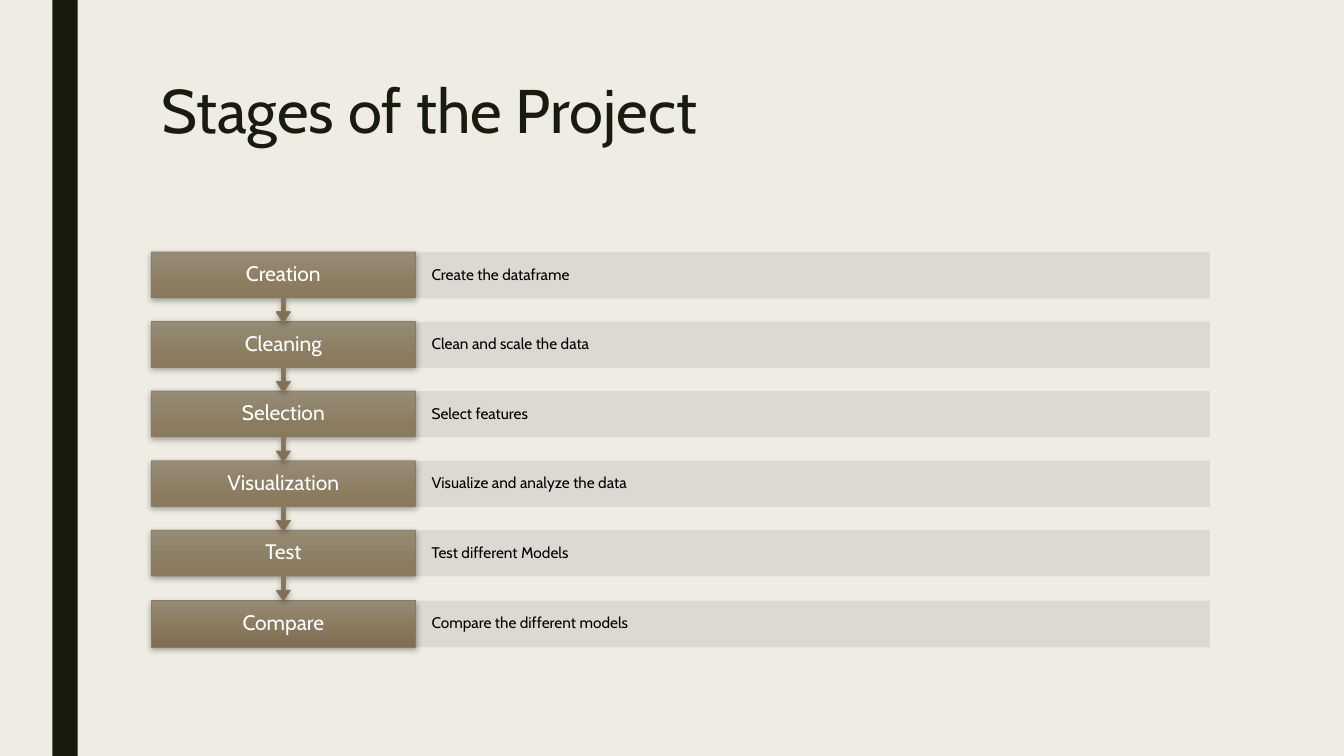
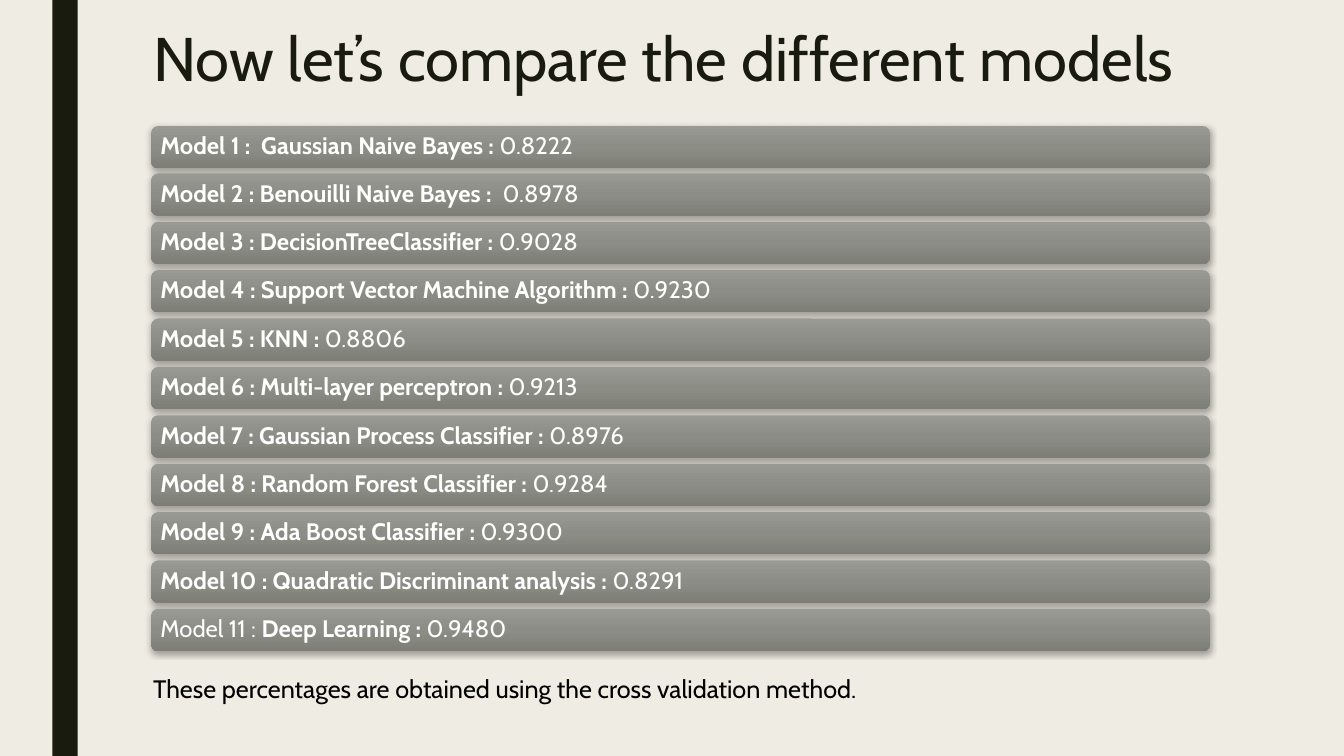
from pptx import Presentation, oxml
from pptx.dml.color import RGBColor
from pptx.enum import shapes, text
from pptx.oxml import ns
from pptx.util import Emu, Pt

PX = 9144
WIDTH, HEIGHT = 1333, 750
FONT = "Cabin"
COLORS = {
    "paper": "EFEDE3",
    "ink": "191B0E",
    "white": "FFFFFF",
    "black": "000000",
    "bar": "DAD7D2",
    "stage_line": "897B61",
}
GRADIENTS = {
    "stage": ("978B76", "8B7C5F", "7D6E53"),
    "model": ("999A94", "8C8D86", "7D7E76"),
}
STAGES = [
    ("Creation", "Create the dataframe"),
    ("Cleaning", "Clean and scale the data"),
    ("Selection", "Select features"),
    ("Visualization", "Visualize and analyze the data"),
    ("Test", "Test different Models"),
    ("Compare", "Compare the different models"),
]
MODELS = [
    ("", "Model 1 :  Gaussian Naive Bayes : ", "0.8222"),
    ("", "Model 2 : Benouilli Naive Bayes :  ", "0.8978"),
    ("", "Model 3 : DecisionTreeClassifier : ", "0.9028"),
    ("", "Model 4 : Support Vector Machine Algorithm : ", "0.9230"),
    ("", "Model 5 : KNN : ", "0.8806"),
    ("", "Model 6 : Multi-layer perceptron : ", "0.9213"),
    ("", "Model 7 : Gaussian Process Classifier : ", "0.8976"),
    ("", "Model 8 : Random Forest Classifier : ", "0.9284"),
    ("", "Model 9 : Ada Boost Classifier : ", "0.9300"),
    ("", "Model 10 : Quadratic Discriminant analysis : ", "0.8291"),
    ("Model 11 : ", "Deep Learning : ", "0.9480"),
]


def px(*lengths):
    return [Emu(n * PX) for n in lengths]


def rgb(name):
    return RGBColor.from_string(COLORS[name])


class Deck:
    def __init__(self):
        self.prs = Presentation()
        self.prs.slide_width, self.prs.slide_height = px(WIDTH, HEIGHT)
        self.s = None
        fill = self.prs.slide_master.background.fill
        fill.solid()
        fill.fore_color.rgb = rgb("paper")

    def slide(self, title, box):
        self.s = self.prs.slides.add_slide(self.prs.slide_layouts[5])
        if len(self.prs.slides) == 1:
            self.master_band()
        sp = self.s.shapes.title
        sp.left, sp.top, sp.width, sp.height = px(*box)
        self.set_text(sp, [(title, None)], 44, "ink", 10, text.MSO_ANCHOR.TOP,
                      spacing=0.89, inset_y=5)

    def master_band(self):
        band = self.shape(shapes.MSO_SHAPE.RECTANGLE, (52, 0, 25, HEIGHT), "ink")
        band.element.xpath(".//p:cNvPr")[0].set("id", "99")
        self.prs.slide_master.shapes.element.append(band.element)

    def shape(self, kind, box, fill=None):
        sp = self.s.shapes.add_shape(kind, *px(*box))
        sp.shadow.inherit = False
        sp.line.fill.background()
        if fill:
            sp.fill.solid()
            sp.fill.fore_color.rgb = rgb(fill)
        return sp

    def glossy(self, kind, box, gradient):
        sp = self.shape(kind, box)
        stops = "".join(f'<a:gs pos="{i * 50000}"><a:srgbClr val="{c}"/></a:gs>'
                        for i, c in enumerate(GRADIENTS[gradient]))
        spPr = sp.element.spPr
        spPr.find(ns.qn("a:prstGeom")).addnext(oxml.parse_xml(
            f'<a:gradFill {ns.nsdecls("a")} rotWithShape="1"><a:gsLst>{stops}</a:gsLst>'
            '<a:lin ang="5400000" scaled="0"/></a:gradFill>'))
        spPr.find(ns.qn("a:effectLst")).append(oxml.parse_xml(
            f'<a:outerShdw {ns.nsdecls("a")} blurRad="57150" dist="19050" dir="5400000" '
            'algn="ctr" rotWithShape="0"><a:srgbClr val="000000">'
            '<a:alpha val="35000"/></a:srgbClr></a:outerShdw>'))
        return sp

    def set_text(self, sp, runs, size, color, inset, anchor=text.MSO_ANCHOR.MIDDLE,
                 align=text.PP_ALIGN.LEFT, spacing=0.9, inset_y=0):
        tf = sp.text_frame
        tf.word_wrap = True
        tf.auto_size = text.MSO_AUTO_SIZE.NONE
        tf.vertical_anchor = anchor
        tf.margin_left, tf.margin_right = px(inset, inset)
        tf.margin_top, tf.margin_bottom = px(inset_y, inset_y)
        p = tf.paragraphs[0]
        p.alignment = align
        p.line_spacing = spacing
        p.font.name, p.font.size = FONT, Pt(size)
        p.font.color.rgb = rgb(color)
        for words, bold in runs:
            r = p.add_run()
            r.text = words
            r.font.bold = bold

    def stage(self, top, name, detail, arrow):
        bar = self.shape(shapes.MSO_SHAPE.RECTANGLE, (412, top, 788, 46), "bar")
        clr = bar.element.spPr.find(ns.qn("a:solidFill"))[0]
        clr.append(oxml.parse_xml(f'<a:alpha {ns.nsdecls("a")} val="90000"/>'))
        self.set_text(bar, [(detail, None)], 11, "black", 16)
        if arrow:
            sp = self.glossy(shapes.MSO_SHAPE.DOWN_ARROW_CALLOUT,
                             (150, top, 262, 70), "stage")
            for i, value in enumerate((0.05, 0.1, 0.15, 0.65)):
                sp.adjustments[i] = value
        else:
            sp = self.glossy(shapes.MSO_SHAPE.RECTANGLE, (150, top, 262, 46), "stage")
        sp.line.color.rgb = rgb("stage_line")
        sp.line.width = Pt(0.5)
        self.set_text(sp, [(name, None)], 15, "white", 19, align=text.PP_ALIGN.CENTER)

    def model(self, top, lead, name, score):
        sp = self.glossy(shapes.MSO_SHAPE.ROUNDED_RECTANGLE, (150, top, 1050, 42), "model")
        runs = [(lead, False), (name, True), (score, False)]
        self.set_text(sp, [run for run in runs if run[0]], 17, "white", 7)

    def caption(self, words, box):
        sp = self.s.shapes.add_textbox(*px(*box))
        self.set_text(sp, [(words, None)], 18, "black", 10, text.MSO_ANCHOR.TOP,
                      spacing=1.0, inset_y=5)


def main():
    deck = Deck()
    deck.slide("Stages of the Project", (150, 75, 1050, 162))
    last = len(STAGES) - 1
    for i, (name, detail) in reversed(list(enumerate(STAGES))):
        deck.stage(250 + i * 346 // 5, name, detail, arrow=i < last)

    deck.slide("Now let’s compare the different models", (142, 24, 1050, 81))
    for i, row in enumerate(MODELS):
        deck.model(125 + i * 479 // 10, *row)
    deck.caption("These percentages are obtained using the cross validation method.",
                 (142, 663, 1086, 40))
    deck.prs.save("out.pptx")


if __name__ == "__main__":
    main()
